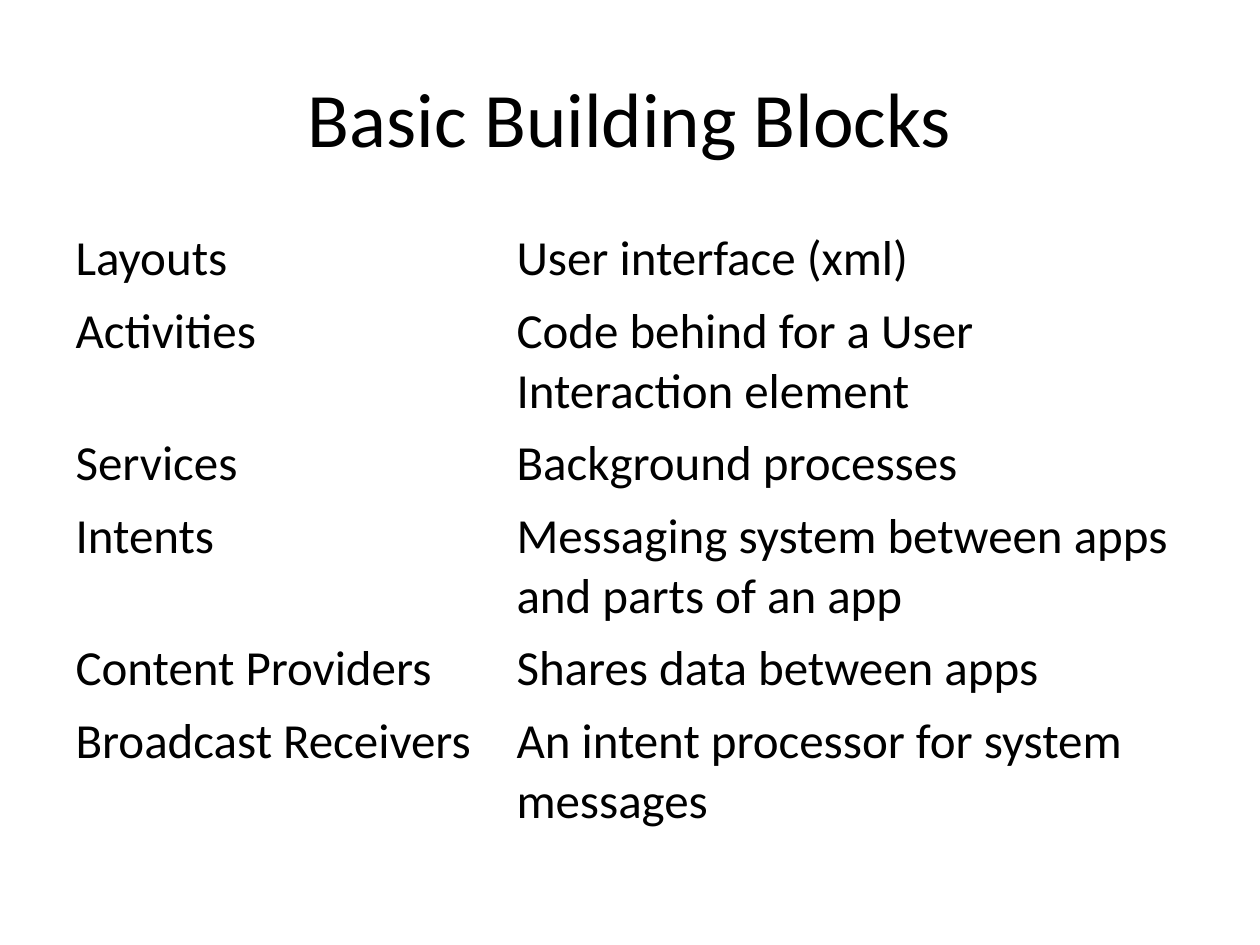
from pptx import Presentation
from pptx.dml.color import RGBColor
from pptx.enum.text import MSO_ANCHOR, PP_ALIGN
from pptx.util import Pt

PIXEL = 914400 // 126
MIDDLE = MSO_ANCHOR.MIDDLE
CENTER = PP_ALIGN.CENTER
FONT = "Calibri"
BLACK = "000000"


def px(length):
    return length * PIXEL


def add_text(paragraph, text, size, color):
    run = paragraph.add_run()
    run.text = text
    run.font.name = FONT
    run.font.size = Pt(size)
    run.font.bold = False
    run.font.color.rgb = RGBColor.from_string(color)


building_blocks = [
    ("Layouts", "User interface (xml)"),
    ("Activities", "Code behind for a User Interaction element"),
    ("Services", "Background processes"),
    ("Intents", "Messaging system between apps and parts of an app"),
    ("Content Providers", "Shares data between apps"),
    ("Broadcast Receivers", "An intent processor for system messages"),
]
column_widths = [441, 693]
row_height = 45

presentation = Presentation()
presentation.slide_width = px(1260)
presentation.slide_height = px(945)
slide = presentation.slides.add_slide(presentation.slide_layouts[5])

# Title
title = slide.shapes.title
title.left, title.top, title.width, title.height = map(px, (63, 38, 1134, 157))
title.text_frame.vertical_anchor = MIDDLE
title_paragraph = title.text_frame.paragraphs[0]
title_paragraph.alignment = CENTER
add_text(title_paragraph, "Basic Building Blocks", 44, BLACK)

# Table of terms and meanings; rows grow to fit their text
table = slide.shapes.add_table(
    len(building_blocks), len(column_widths), px(63), px(223),
    px(sum(column_widths)), px(row_height * len(building_blocks))).table
table.first_row = False
table.horz_banding = False
for column, width in zip(table.columns, column_widths):
    column.width = px(width)
for row, texts in zip(table.rows, building_blocks):
    row.height = px(row_height)
    for cell, text in zip(row.cells, texts):
        cell.fill.background()
        add_text(cell.text_frame.paragraphs[0], text, 28, BLACK)

presentation.save("out.pptx")
